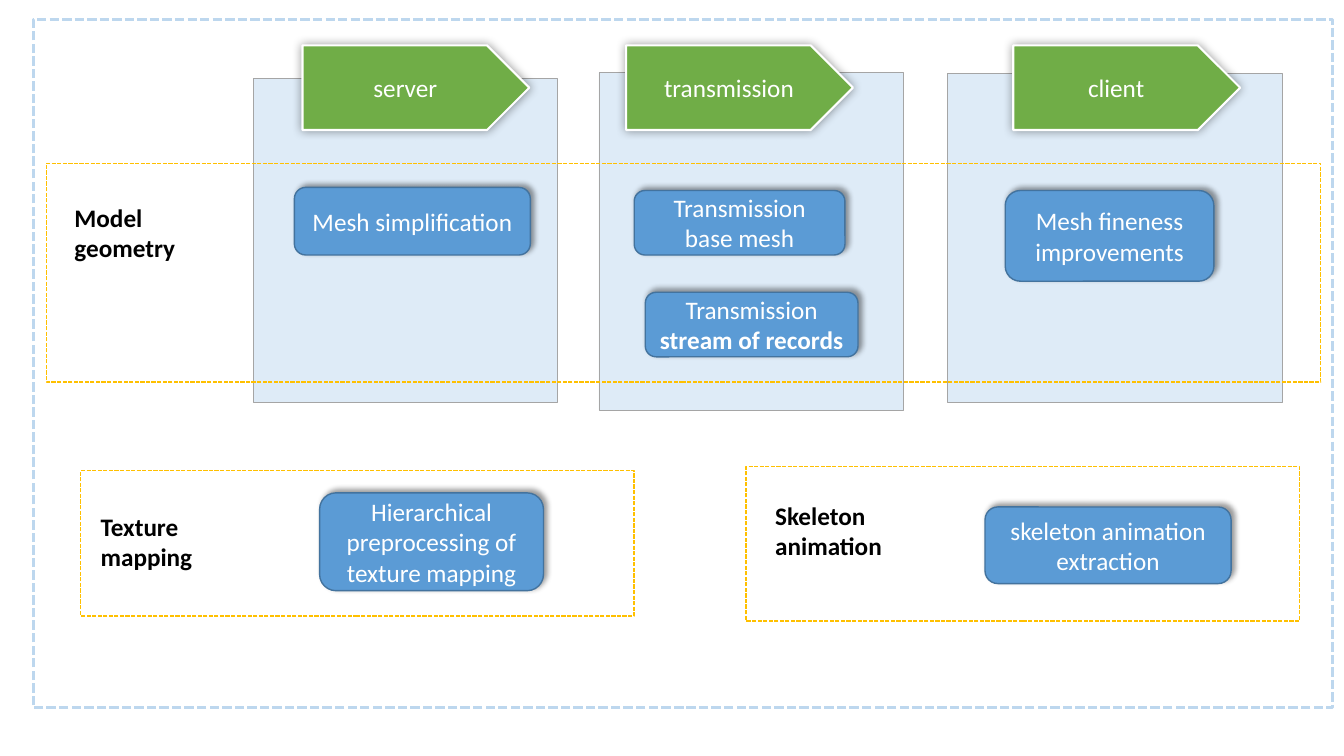
from dataclasses import dataclass

from lxml import etree
from pptx import Presentation
from pptx import util as u
from pptx.dml.color import RGBColor
from pptx.enum import dml, shapes, text
from pptx.oxml.ns import qn

PX = 9144  # EMU per px, 100 px to the inch


@dataclass(frozen=True)
class Theme:
    font: str = "Calibri"
    size: int = 18
    ink: str = "000000"
    white: str = "FFFFFF"
    panel: str = "DEEBF7"
    panel_line: str = "A5A5A5"
    step: str = "5B9BD5"
    step_line: str = "43739E"
    stage: str = "70AD47"
    frame: str = "BDD7EE"
    group: str = "FFC000"


class Diagram:
    def __init__(self, slide, theme):
        self.s = slide
        self.t = theme

    def shape(self, kind, box, fill, line, width, dashed=False):
        sp = self.s.shapes.add_shape(kind, *(v * PX for v in box))
        if fill:
            sp.fill.solid()
            sp.fill.fore_color.rgb = RGBColor.from_string(fill)
        else:
            sp.fill.background()
        sp.line.color.rgb = RGBColor.from_string(line)
        sp.line.width = u.Pt(width)
        if dashed:
            sp.line.dash_style = dml.MSO_LINE.SQUARE_DOT
        sp.shadow.inherit = False
        return sp

    def shadow(self, sp, blur, dist, angle):
        effects = sp._element.spPr.find(qn("a:effectLst"))
        outer = etree.SubElement(
            effects, qn("a:outerShdw"), blurRad=str(u.Pt(blur)),
            dist=str(u.Pt(dist)), dir=str(angle * 60000), rotWithShape="0")
        color = etree.SubElement(outer, qn("a:srgbClr"), val=self.t.ink)
        etree.SubElement(color, qn("a:alpha"), val="40000")

    def add_runs(self, sp, runs, color, align):
        tf = sp.text_frame
        tf.word_wrap = True
        p = tf.paragraphs[0]
        p.alignment = align
        for words, bold in runs:
            r = p.add_run()
            r.text = words
            r.font.name = self.t.font
            r.font.size = u.Pt(self.t.size)
            r.font.bold = bold
            r.font.color.rgb = RGBColor.from_string(color)
        return tf

    def panel(self, box):
        self.shape(shapes.MSO_SHAPE.RECTANGLE, box, self.t.panel,
                   self.t.panel_line, 0.5)

    def outline(self, box, color, width):
        self.shape(shapes.MSO_SHAPE.RECTANGLE, box, None, color, width, True)

    def centred(self, sp, runs):
        tf = self.add_runs(sp, runs, self.t.white, text.PP_ALIGN.CENTER)
        tf.vertical_anchor = text.MSO_ANCHOR.MIDDLE

    def step(self, box, *runs):
        sp = self.shape(shapes.MSO_SHAPE.ROUNDED_RECTANGLE, box, self.t.step,
                        self.t.step_line, 1)
        self.shadow(sp, 4, 3, 315)
        self.centred(sp, runs)

    def stage(self, box, name):
        sp = self.shape(shapes.MSO_SHAPE.PENTAGON, box, self.t.stage,
                        self.t.white, 1.5)
        self.shadow(sp, 7, 0, 319)
        self.centred(sp, [(name, False)])

    def label(self, box, words):
        sp = self.s.shapes.add_textbox(*(v * PX for v in box))
        tf = self.add_runs(sp, [(words, True)], self.t.ink, text.PP_ALIGN.LEFT)
        tf.auto_size = text.MSO_AUTO_SIZE.SHAPE_TO_FIT_TEXT


def main():
    prs = Presentation()
    prs.slide_width, prs.slide_height = 1333 * PX, 750 * PX
    theme = Theme()
    d = Diagram(prs.slides.add_slide(prs.slide_layouts[6]), theme)

    # Stage columns
    for box in ((940, 73, 332, 326), (594, 72, 302, 335), (251, 78, 302, 321)):
        d.panel(box)

    # Processing steps
    d.step((292, 186, 234, 67), ("Mesh simplification", False))
    d.step((629, 189, 209, 64), ("Transmission base mesh", False))
    d.step((640, 290, 211, 64), ("Transmission ", False),
           ("stream of records ", True))
    d.step((997, 189, 207, 90), ("Mesh fineness improvements", False))
    d.step((317, 489, 222, 97),
           ("Hierarchical preprocessing of texture mapping", False))
    d.step((977, 503, 244, 76), ("skeleton animation extraction", False))

    # Outer frame and stage arrows
    d.outline((33, 19, 1289, 683), theme.frame, 2.25)
    for left, name in ((300, "server"), (621, "transmission"), (1005, "client")):
        d.stage((left, 45, 225, 84), name)

    # Data groups with their labels
    groups = (
        ((46, 162, 1264, 217), (64, 196, 154, 71), "Model geometry"),
        ((80, 467, 549, 144), (90, 502, 154, 71), "Texture mapping"),
        ((740, 463, 549, 153), (759, 491, 154, 101), "Skeleton animation"),
    )
    for box, label_box, name in groups:
        d.outline(box, theme.group, 1)
        d.label(label_box, name)

    prs.save("out.pptx")


if __name__ == "__main__":
    main()
